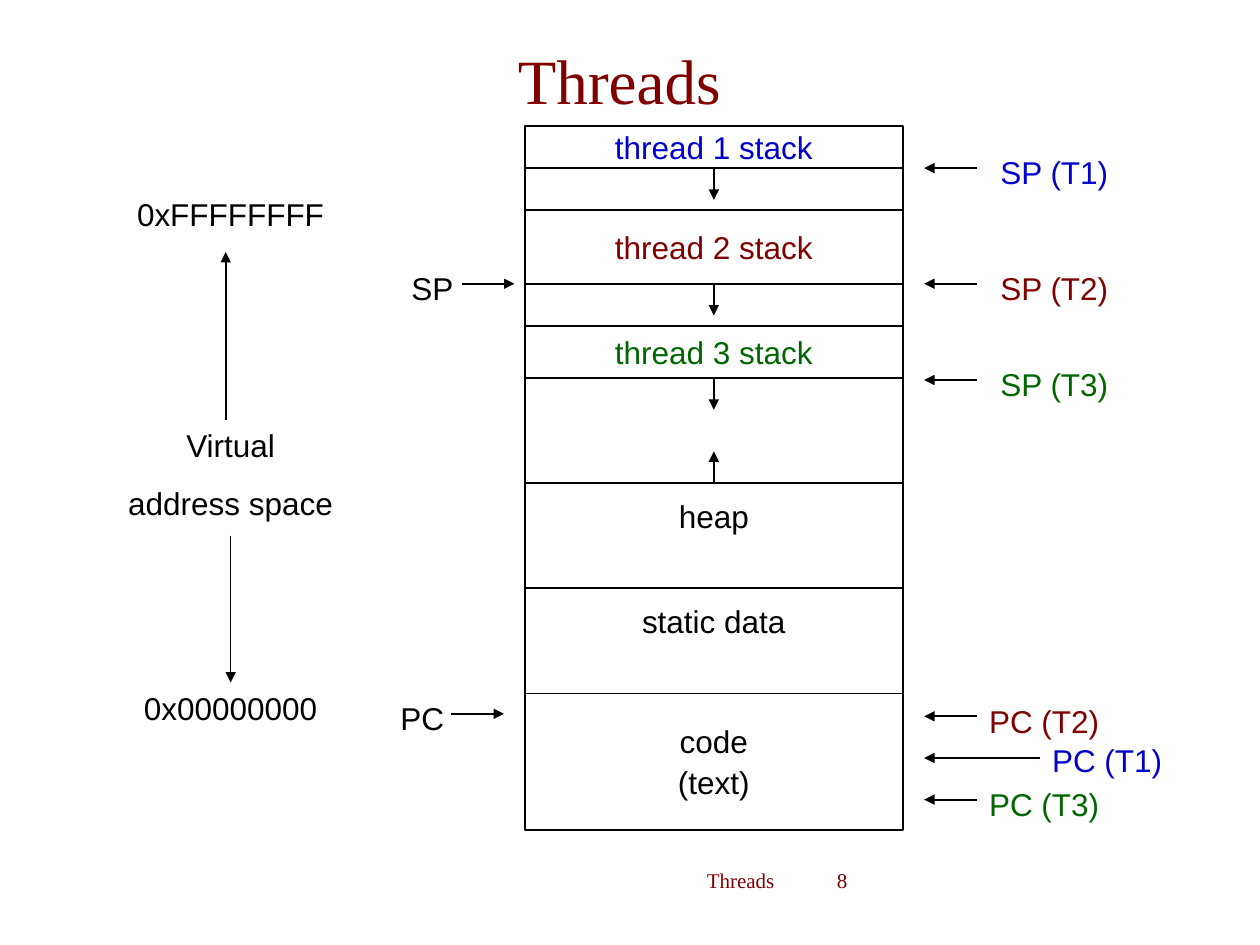
import pptx
import pptx.dml.color
import pptx.enum.shapes
import pptx.enum.text
import pptx.oxml.ns
import pptx.util
from lxml import etree

Cm, Pt = pptx.util.Cm, pptx.util.Pt
RGBColor = pptx.dml.color.RGBColor
PP_ALIGN = pptx.enum.text.PP_ALIGN
MSO_ANCHOR = pptx.enum.text.MSO_ANCHOR
qn = pptx.oxml.ns.qn

BLACK = RGBColor(0x00, 0x00, 0x00)
WHITE = RGBColor(0xFF, 0xFF, 0xFF)
BLUE = RGBColor(0x00, 0x00, 0xCC)
MAROON = RGBColor(0x80, 0x00, 0x00)
GREEN = RGBColor(0x00, 0x66, 0x00)

SLACK = 0.1  # room on both sides of a label, so that its lines never break


def write(sp, lines, color, size=18, font="Arial", align=PP_ALIGN.CENTER, before=2.2):
    tf = sp.text_frame
    for i, line in enumerate(lines):
        p = tf.add_paragraph() if i else tf.paragraphs[0]
        p.text = line
        p.alignment = align
        p.space_before = Pt(before)
        p.font.size = Pt(size)
        p.font.name = font
        p.font.color.rgb = color
    return tf


def add_label(s, x, y, w, h, lines, color, before=2.2):
    sp = s.shapes.add_textbox(Cm(x - SLACK), Cm(y), Cm(w + 2 * SLACK), Cm(h))
    tf = write(sp, lines, color, before=before)
    tf.word_wrap = False


def add_arrow(s, x1, y1, x2, y2, width=1):
    """Draw a line with its arrowhead at the second point."""
    line = s.shapes.add_connector(pptx.enum.shapes.MSO_CONNECTOR.STRAIGHT,
                                  Cm(x1), Cm(y1), Cm(x2), Cm(y2))
    line.line.color.rgb = BLACK
    line.line.width = Pt(width)
    etree.SubElement(line.line._get_or_add_ln(), qn("a:tailEnd"), type="triangle")
    etree.SubElement(line._element.spPr, qn("a:effectLst"))
    return line


def add_title(s, x, y, w, h):
    sp = s.shapes.add_textbox(Cm(x), Cm(y), Cm(w), Cm(h))
    tf = write(sp, ["Threads"], MAROON, 36, "Times New Roman", before=0)
    tf.word_wrap = True
    tf.vertical_anchor = MSO_ANCHOR.MIDDLE


def add_footer(s, x, y, w, h):
    """Place the deck name and, at a tab stop, the slide number."""
    sp = s.shapes.add_textbox(Cm(x), Cm(y), Cm(w), Cm(h))
    tf = write(sp, ["Threads\t8"], MAROON, 12, "Times New Roman", PP_ALIGN.LEFT, 0)
    tf.word_wrap = True
    tf.margin_left = Cm(6.42)
    pPr = tf.paragraphs[0]._p.get_or_add_pPr()
    tabs = etree.Element(qn("a:tabLst"))
    etree.SubElement(tabs, qn("a:tab"), pos=str(Cm(2.62)), algn="l")
    pPr.find(qn("a:defRPr")).addprevious(tabs)


def add_address_space(s, x, y, w):
    for top, h, lines in [(0, 1.02, ["0xFFFFFFFF"]),
                          (4.66, 2.18, ["Virtual", "address space"]),
                          (9.95, 1.02, ["0x00000000"])]:
        add_label(s, x, y + top, w, h, lines, BLACK, before=11.2)
    add_arrow(s, x + 2.21, y + 4.66, x + 2.21, y + 1.27)
    add_arrow(s, x + 2.31, y + 6.99, x + 2.31, y + 9.95, width=0.75)


def add_memory(s, x, y, w):
    """Stack the memory segments downwards, with arrows for those that grow."""
    # height, lines, colour, space kept below the text, length of growth arrow
    segments = [
        (0.85, ["thread 1 stack"], BLUE, 0, 0),
        (0.85, [], BLACK, 0, 0.64),
        (1.48, ["thread 2 stack"], MAROON, 0, 0),
        (0.85, [], BLACK, 0, 0.64),
        (1.05, ["thread 3 stack"], GREEN, 0, 0),
        (2.12, [], BLACK, 0, 0.64),
        (2.12, ["heap"], BLACK, 0.81, -0.64),
        (2.12, ["static data"], BLACK, 0.81, 0),
        (2.75, ["code", "(text)"], BLACK, 0, 0),
    ]
    for h, lines, color, below, growth in segments:
        sp = s.shapes.add_shape(pptx.enum.shapes.MSO_SHAPE.RECTANGLE,
                                Cm(x), Cm(y), Cm(w), Cm(h))
        sp.shadow.inherit = False
        sp.line.color.rgb = BLACK
        sp.line.width = Pt(1)
        if lines:
            sp.fill.background()
            tf = write(sp, lines, color)
            tf.word_wrap = False
            tf.vertical_anchor = MSO_ANCHOR.MIDDLE
            tf.margin_bottom = Cm(0.13 + below)
        else:
            sp.fill.solid()
            sp.fill.fore_color.rgb = WHITE
        if growth:
            arrow = add_arrow(s, x + w / 2, y, x + w / 2, y + growth)
            arrow.begin_connect(sp, 0)
        y += h


def add_pointers(s, x, y, rows):
    """Each row: label, colour, label left, top, width, arrow tail, tip, height."""
    for text, color, left, top, w, tail, tip, level in rows:
        add_label(s, x + left, y + top, w, 1.02, [text], color)
        add_arrow(s, x + tail, y + level, x + tip, y + level)


def main():
    prs = pptx.Presentation()
    prs.slide_width, prs.slide_height = Cm(25.4), Cm(19.05)
    s = prs.slides.add_slide(prs.slide_layouts[6])
    add_footer(s, 7.83, 17.36, 9.53, 1.27)
    add_title(s, 1.69, 0.64, 21.59, 1.9)
    add_address_space(s, 2.34, 3.81, 4.62)
    add_memory(s, 10.58, 2.54, 7.62)
    add_pointers(s, 7.83, 2.54, [
        ("SP", BLACK, 0.21, 2.75, 1.35, 1.48, 2.54, 3.18),
        ("PC", BLACK, 0, 11.43, 1.37, 1.27, 2.33, 11.85),
    ])
    add_pointers(s, 18.63, 2.54, [
        ("SP (T1)", BLUE, 1.28, 0.42, 2.69, 1.06, 0, 0.85),
        ("SP (T2)", MAROON, 1.28, 2.75, 2.69, 1.06, 0, 3.18),
        ("SP (T3)", GREEN, 1.28, 4.7, 2.69, 1.06, 0, 5.12),
        ("PC (T2)", MAROON, 1.06, 11.48, 2.72, 1.06, 0, 11.9),
        ("PC (T1)", BLUE, 2.33, 12.28, 2.72, 2.33, 0, 12.74),
        ("PC (T3)", GREEN, 1.06, 13.16, 2.72, 1.06, 0, 13.58),
    ])
    prs.save("out.pptx")


if __name__ == "__main__":
    main()
